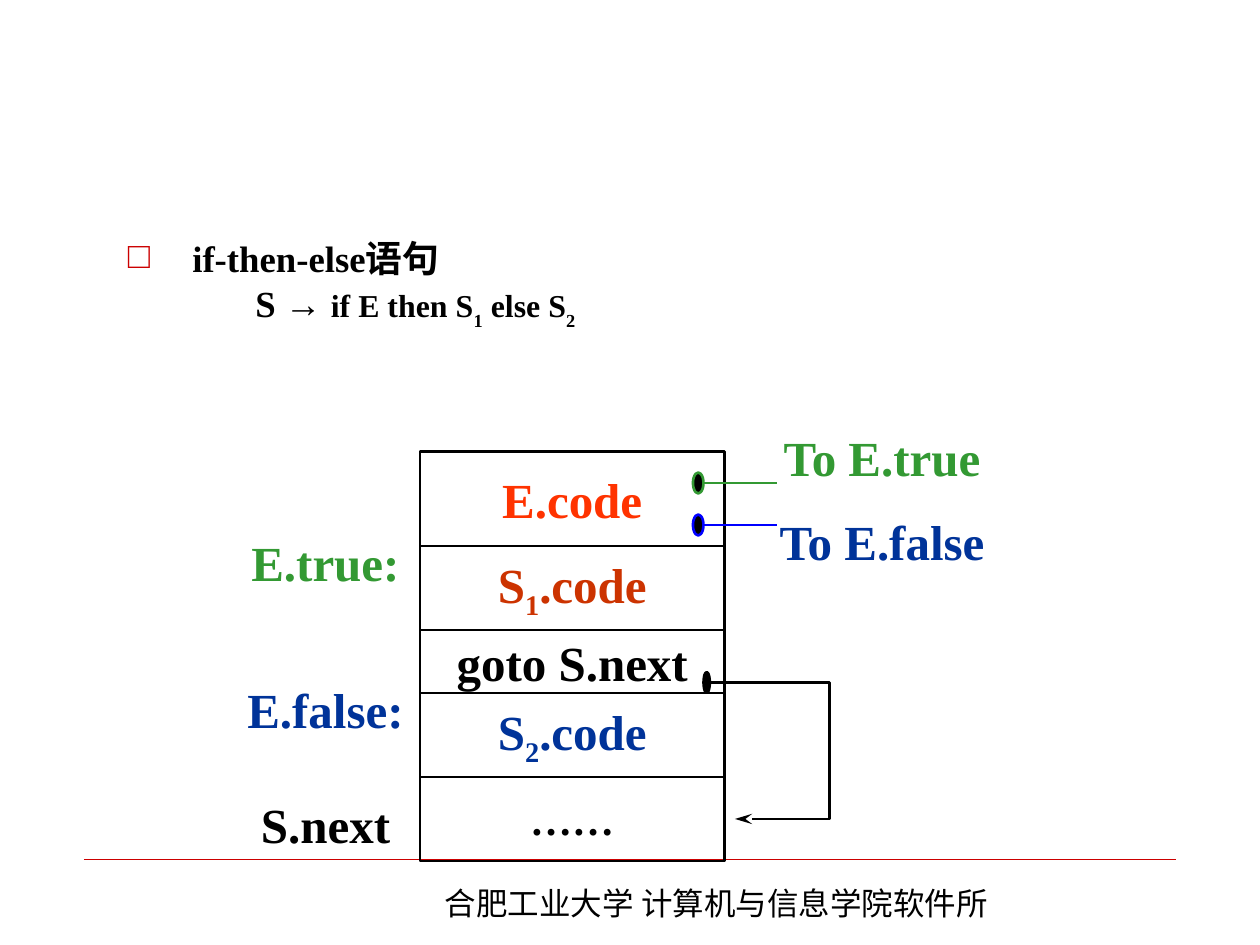
from lxml import etree
from pptx import Presentation
from pptx import util as u
from pptx.dml.color import RGBColor
from pptx.enum import shapes, text
from pptx.oxml import ns

BLACK = RGBColor(0x00, 0x00, 0x00)
RED = RGBColor(0xCC, 0x00, 0x00)
ORANGE = RGBColor(0xFF, 0x33, 0x00)
RUST = RGBColor(0xCC, 0x33, 0x00)
GREEN = RGBColor(0x33, 0x99, 0x33)
NAVY = RGBColor(0x00, 0x33, 0x99)
BLUE = RGBColor(0x00, 0x00, 0xFF)

LATIN = "Times New Roman"
CHINESE = "Noto Sans CJK SC"


def grid(count):
    """Length of a number of grid steps, twelve steps to 2.54 cm."""
    return u.Cm(count * 2.54 / 12)


def add_xml(parent, tag, **attributes):
    return etree.SubElement(parent, ns.qn(tag), attributes)


def write(paragraph, content, size=28, color=BLACK, bold=True, font=LATIN, baseline=0):
    run = paragraph.add_run()
    run.text = content
    run.font.size = u.Pt(size)
    run.font.bold = bold
    run.font.color.rgb = color
    run.font.name = font
    properties = run._r.get_or_add_rPr()
    add_xml(properties, "a:ea", typeface=CHINESE)
    if baseline:
        properties.set("baseline", str(baseline * 1000))


class SlideBuilder:
    line_width = 1.5

    def __init__(self, slide):
        self.slide = slide

    def outline(self, shape, color, width=None):
        shape.line.color.rgb = color
        shape.line.width = u.Pt(width or self.line_width)

    def text_box(self, left, top, width, height, wrap=True):
        box = self.slide.shapes.add_textbox(*map(grid, (left, top, width, height)))
        box.text_frame.word_wrap = wrap
        return box

    def centre(self, shape, parts, **style):
        """Centre text in a shape; every second part is a subscript."""
        frame = shape.text_frame
        frame.word_wrap = False
        frame.vertical_anchor = text.MSO_ANCHOR.MIDDLE
        paragraph = frame.paragraphs[0]
        paragraph.alignment = text.PP_ALIGN.CENTER
        for index, part in enumerate(parts):
            write(paragraph, part, baseline=-25 * (index % 2), **style)

    def label(self, content, middle, top, color, width):
        box = self.text_box(middle - width / 2, top, width, 7, wrap=False)
        self.centre(box, [content], color=color)

    def block(self, parts, left, top, width, height, **style):
        shape = self.slide.shapes.add_shape(
            shapes.MSO_SHAPE.RECTANGLE, *map(grid, (left, top, width, height)))
        shape.shadow.inherit = False
        shape.fill.background()
        self.outline(shape, BLACK)
        self.centre(shape, parts, **style)

    def line(self, container, start, end, color, width=None):
        connector = container.add_connector(
            shapes.MSO_CONNECTOR.STRAIGHT, *map(grid, (*start, *end)))
        add_xml(connector._element.spPr, "a:effectLst")
        self.outline(connector, color, width)

    def dot(self, container, left, top, width, color):
        shape = container.add_shape(
            shapes.MSO_SHAPE.OVAL, *map(grid, (left, top, width, 2)))
        shape.shadow.inherit = False
        shape.fill.solid()
        shape.fill.fore_color.rgb = BLACK
        self.outline(shape, color)

    def exit_line(self, y, color):
        group = self.slide.shapes.add_group_shape().shapes
        self.line(group, (67, y), (74, y), color)
        self.dot(group, 66, y - 1, 1, color)

    def jump(self, points):
        group = self.slide.shapes.add_group_shape().shapes
        corners = [(grid(x), grid(y)) for x, y in points]
        builder = group.build_freeform(*corners[0])
        builder.add_line_segments(corners[1:], close=False)
        shape = builder.convert_to_shape()
        shape.shadow.inherit = False
        shape.fill.background()
        self.outline(shape, BLACK)
        add_xml(shape.line._get_or_add_ln(), "a:tailEnd", type="stealth", len="lg")
        self.dot(group, 67, points[0][1] - 1, 0.6, BLACK)

    def body_paragraph(self, paragraph, bullet=None, space_before=0):
        properties = paragraph._p.get_or_add_pPr()
        indent = u.Cm(1.3)
        properties.set("marL", str(indent))
        properties.set("indent", str(-indent))
        if bullet:
            add_xml(add_xml(properties, "a:buClr"), "a:srgbClr", val=str(RED))
            add_xml(properties, "a:buFont", typeface=LATIN)
            add_xml(properties, "a:buChar", char=bullet)
        else:
            add_xml(properties, "a:buNone")
        tabs = add_xml(properties, "a:tabLst")
        for stop in range(8):
            add_xml(tabs, "a:tab", pos=str(indent + u.Cm(2.54 * stop)), algn="l")
        paragraph.line_spacing = 0.7
        paragraph.space_before = u.Pt(space_before)


def main():
    presentation = Presentation()
    presentation.slide_width = u.Cm(25.4)
    presentation.slide_height = u.Cm(19.05)
    slide = presentation.slides.add_slide(presentation.slide_layouts[6])
    builder = SlideBuilder(slide)

    # Footer
    builder.line(slide.shapes, (8, 81.84), (112, 81.84), RED, width=0.25)
    footer = builder.text_box(41.2, 83.6, 60.5, 4.8)
    write(footer.text_frame.paragraphs[0], "合肥工业大学 计算机与信息学院软件所",
          size=18, bold=False, font=CHINESE)

    # Statement and its grammar rule
    frame = builder.text_box(11, 23, 103, 9).text_frame
    heading = frame.paragraphs[0]
    builder.body_paragraph(heading, bullet="□")
    write(heading, "if-then-else语句", size=21)
    rule = frame.add_paragraph()
    builder.body_paragraph(rule, space_before=6.5)
    write(rule, "\t\tS → ", size=21)
    for content, baseline in (("if E then S", 0), ("1", -30), (" else S", 0), ("2", -30)):
        write(rule, content, size=18.2, baseline=baseline)

    # Code layout, stacked from the top
    top = 43
    for parts, height, color, size in (
        (["E.code"], 9, ORANGE, 28),
        (["S", "1", ".code"], 8, RUST, 28),
        (["goto S.next"], 6, BLACK, 28),
        (["S", "2", ".code"], 8, NAVY, 28),
        (["……"], 8, BLACK, 24),
    ):
        builder.block(parts, 40, top, 29, height, color=color, size=size)
        top += height

    # Exits and the jump past the else branch
    builder.exit_line(46, GREEN)
    builder.exit_line(50, BLUE)
    builder.jump([(67.5, 65), (79, 65), (79, 78), (70, 78)])

    # Labels on both sides, the exits wide enough for one line
    for content, middle, label_top, color, width in (
        ("To E.true", 84, 40, GREEN, 24),
        ("To E.false", 84, 48, NAVY, 24),
        ("E.true:", 31, 50, GREEN, 18),
        ("E.false:", 31, 64, NAVY, 18),
        ("S.next", 31, 75, BLACK, 18),
    ):
        builder.label(content, middle, label_top, color, width)

    presentation.save("out.pptx")


if __name__ == "__main__":
    main()
